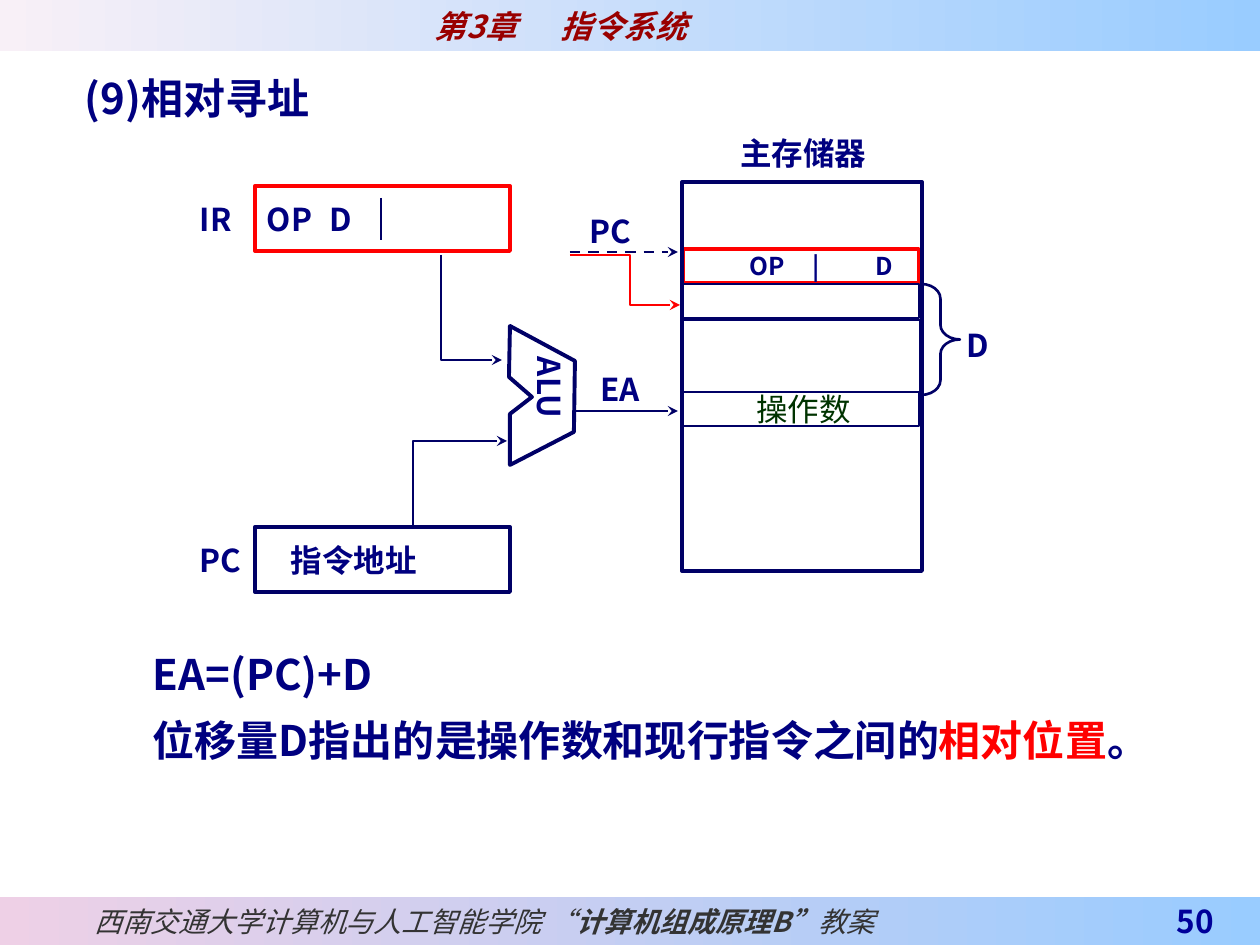
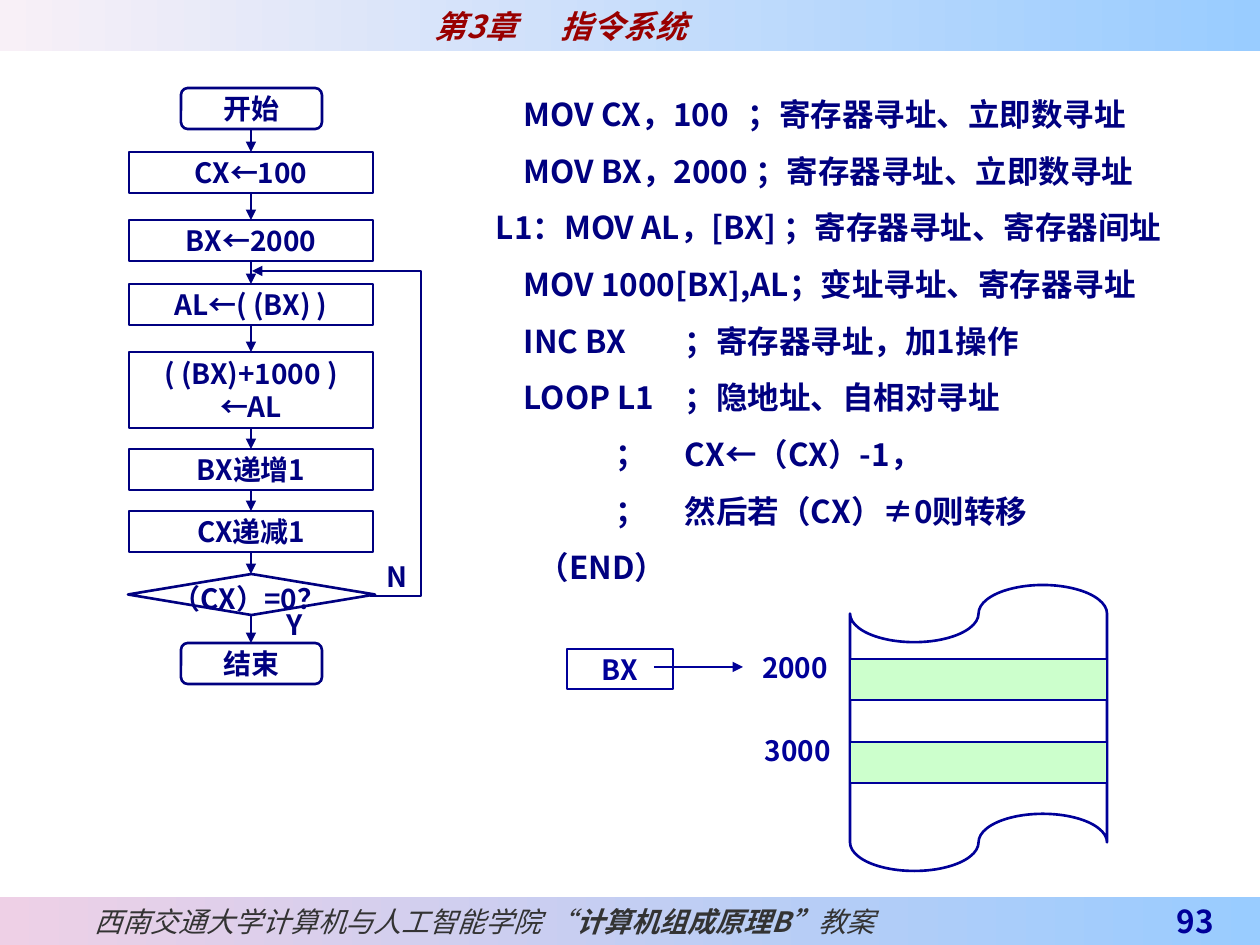
from lxml import etree
from pptx import Presentation
from pptx.dml.color import RGBColor
from pptx.enum.dml import MSO_LINE
from pptx.enum.shapes import MSO_CONNECTOR, MSO_SHAPE
from pptx.enum.text import MSO_ANCHOR, PP_ALIGN
from pptx.oxml.ns import qn
from pptx.util import Pt

SCALE = 914400 / 126  # EMU in one px
WIDTH, HEIGHT = 1260, 945
FONT = "Noto Sans CJK SC"
NAVY, INK, BLUE, RED = "000080", "000066", "000099", "FF0000"
DARK_RED, GRAY, GREEN = "990000", "333333", "003300"
WHITE, MINT, SKY, PINK, PALE = "FFFFFF", "CCFFCC", "99CCFF", "EED0E6", "F8F0F7"

LEFT, CENTER, RIGHT = PP_ALIGN.LEFT, PP_ALIGN.CENTER, PP_ALIGN.RIGHT
JUSTIFY = PP_ALIGN.JUSTIFY
TOP, MIDDLE = MSO_ANCHOR.TOP, MSO_ANCHOR.MIDDLE
RECTANGLE = MSO_SHAPE.RECTANGLE
ROUNDED = MSO_SHAPE.FLOWCHART_ALTERNATE_PROCESS
DECISION = MSO_SHAPE.FLOWCHART_DECISION
TAPE = MSO_SHAPE.FLOWCHART_PUNCHED_TAPE
BRACE = MSO_SHAPE.RIGHT_BRACE
STRAIGHT = MSO_CONNECTOR.STRAIGHT
DASH = MSO_LINE.DASH


def px(length):
    return round(length * SCALE)


def color(value):
    return RGBColor.from_string(value)


def set_line(shape, line_color, width, arrow=None, dash=None):
    line = shape.line
    line.color.rgb = color(line_color)
    line.width = Pt(width)
    if dash:
        line.dash_style = dash
    if arrow:
        outline = shape._element.spPr.find(qn("a:ln"))
        etree.SubElement(outline, qn("a:tailEnd"), type=arrow)


def set_indent(paragraph, first, tabs):
    """First-line indent and tab stops, in px from the text edge."""
    properties = paragraph._p.get_or_add_pPr()
    properties.set("marL", "0")
    properties.set("indent", str(px(first)))
    if tabs:
        stops = etree.SubElement(properties, qn("a:tabLst"))
        for stop in tabs:
            etree.SubElement(stops, qn("a:tab"), pos=str(px(stop)), algn="l")


def set_font(run, text_color, size, **styles):
    run.font.color.rgb = color(text_color)
    formats = {"name": FONT, "size": Pt(size), "bold": True, **styles}
    for name, value in formats.items():
        setattr(run.font, name, value)
    etree.SubElement(run._r.get_or_add_rPr(), qn("a:ea"), typeface=FONT)


def write(shape, paragraphs, text_color=NAVY, size=18, align=CENTER, anchor=MIDDLE,
          inset=0, first=0, tabs=(), spacing=None, wrap=True, **styles):
    """Fill a shape. A paragraph is a string or a list of (text, overrides)."""
    frame = shape.text_frame
    formats = {"word_wrap": wrap, "vertical_anchor": anchor, "margin_left": px(inset),
               "margin_right": 0, "margin_top": 0, "margin_bottom": 0}
    for name, value in formats.items():
        setattr(frame, name, value)
    if isinstance(paragraphs, str):
        paragraphs = [paragraphs]
    for index, runs in enumerate(paragraphs):
        paragraph = frame.add_paragraph() if index else frame.paragraphs[0]
        paragraph.alignment = align
        if spacing:
            paragraph.line_spacing = spacing
        if first or tabs:
            set_indent(paragraph, first, tabs)
        for text, changes in [(runs, {})] if isinstance(runs, str) else runs:
            run = paragraph.add_run()
            run.text = text
            set_font(run, **{"text_color": text_color, "size": size, **styles, **changes})


class Region:
    """Part of a slide; all places are px from its top left corner."""

    def __init__(self, slide, left, top):
        self.shapes, self.left, self.top = slide.shapes, left, top

    def place(self, x, y):
        return px(self.left + x), px(self.top + y)

    def shape(self, kind, x, y, width, height, line=None, weight=1.5, fill=None,
              text=None, **text_format):
        shape = self.shapes.add_shape(kind, *self.place(x, y), px(width), px(height))
        shape.shadow.inherit = False
        if fill:
            shape.fill.solid()
            shape.fill.fore_color.rgb = color(fill)
        else:
            shape.fill.background()
        if line:
            set_line(shape, line, weight)
        else:
            shape.line.fill.background()
        if text:
            write(shape, text, **text_format)
        return shape

    def text(self, x, y, width, height, text, **text_format):
        box = self.shapes.add_textbox(*self.place(x, y), px(width), px(height))
        write(box, text, **text_format)
        return box

    def band(self, y, height, start, end, text, **text_format):
        band = self.shape(RECTANGLE, 0, y, WIDTH, height, text=text, **text_format)
        band.fill.gradient()
        band.fill.gradient_angle = 0
        for stop, value in zip(band.fill.gradient_stops, (start, end)):
            stop.color.rgb = color(value)

    def line(self, start, end, line, weight=1.5, arrow=None, dash=None):
        connector = self.shapes.add_connector(
            STRAIGHT, *self.place(*start), *self.place(*end))
        set_line(connector, line, weight, arrow, dash)
        etree.SubElement(connector._element.spPr, qn("a:effectLst"))

    def outline(self, points, line, weight=1.5, arrow=None, close=False):
        moved = [(self.left + x, self.top + y) for x, y in points]
        builder = self.shapes.build_freeform(*moved[0], scale=SCALE)
        builder.add_line_segments(moved[1:], close=close)
        shape = builder.convert_to_shape()
        shape.shadow.inherit = False
        shape.fill.background()
        set_line(shape, line, weight, arrow)


def new_slide(presentation, number):
    """Blank slide with the shared header, footer and page number."""
    slide = presentation.slides.add_slide(presentation.slide_layouts[6])
    page = Region(slide, 0, 0)
    page.band(897, 48, PINK, SKY,
              [[("西南交通大学计算机与人工智能学院 “", {}),
                ("计算机组成原理B”", {"bold": True}), ("教案", {})]],
              text_color=GRAY, size=16, align=LEFT, inset=95, bold=False, italic=True)
    page.text(1091, 897, 123, 48, str(number), text_color=BLUE, align=RIGHT)
    page.band(0, 51, PALE, SKY, "第3章\t指令系统", text_color=DARK_RED,
              align=LEFT, inset=435, tabs=[111], italic=True)
    return slide


def draw_registers(slide, left, top):
    """Instruction register, program counter and the adder they feed."""
    region = Region(slide, left, top)
    registers = [("IR", 0, RED, "OP\tD", 12, [81]), ("PC", 341, INK, "指令地址", 36, [])]
    for name, y, line, content, inset, tabs in registers:
        region.text(0, y, 52, 65, name, align=LEFT)
        region.shape(RECTANGLE, 55, y, 255, 65, line, 2.25, text=content,
                     align=LEFT, inset=inset, tabs=tabs)
    region.line((181, 12), (181, 54), INK, 1)

    # Adder and its inputs
    region.outline([(310, 140), (375, 175), (374, 246), (310, 279), (310, 228),
                    (332, 211), (309, 191)], INK, 2.25, close=True)
    adder = region.text(319, 171, 63, 62, "ALU", wrap=False)
    adder.text_frame._txBody.bodyPr.set("vert", "eaVert")
    region.outline([(241, 69), (241, 174), (302, 174)], INK, arrow="stealth")
    region.outline([(213, 341), (213, 255), (307, 255)], INK, arrow="stealth")

    # Effective address
    region.text(383, 184, 74, 38, "EA")
    region.line((376, 225), (478, 225), INK, arrow="stealth")


def draw_memory(slide, left, top):
    """Main memory with the current instruction and the operand."""
    region = Region(slide, left, top)
    region.text(30, -48, 182, 38, "主存储器")
    region.shape(RECTANGLE, 1, 138, 237, 89, INK, 0.75)
    region.shape(RECTANGLE, 1, 210, 236, 34, INK, 1, WHITE, "操作数",
                 text_color=GREEN, bold=False, inset=5)
    region.shape(RECTANGLE, 1, 67, 236, 34, RED, 2.25, text="OP\t|\tD",
                 size=14, align=LEFT, inset=67, tabs=[53, 81])
    region.shape(RECTANGLE, 1, 102, 236, 34, INK, 1)
    region.shape(RECTANGLE, 0, 0, 240, 389, INK, 2.25)

    # Program counter before and after the fetch
    region.text(-92, 30, 60, 38, "PC", align=LEFT)
    region.line((-112, 70), (-4, 70), INK, arrow="stealth", dash=DASH)
    region.outline([(-112, 73), (-52, 73), (-52, 123), (-2, 123)], RED, arrow="stealth")

    # Displacement
    brace = region.shape(BRACE, 239, 102, 39, 111, INK)
    brace.adjustments[0] = 0.375
    region.text(285, 144, 60, 38, "D", align=LEFT)


def build_addressing_slide(presentation):
    slide = new_slide(presentation, 50)
    page = Region(slide, 0, 0)
    page.text(85, 66, 341, 63, "(9)相对寻址", size=24, align=LEFT)
    draw_registers(slide, 200, 186)
    draw_memory(slide, 682, 182)
    page.text(153, 631, 1030, 136,
              ["EA=(PC)+D", [("位移量D指出的是操作数和现行指令之间的", {}),
                             ("相对位置", {"text_color": RED}), ("。", {})]],
              size=24, align=LEFT, spacing=1.3)


def draw_flowchart(slide, left, top):
    region = Region(slide, left, top)
    middle = 124
    steps = [  # kind, text, top, width, height
        (ROUNDED, "开始", 0, 141, 41),
        (RECTANGLE, "CX←100", 64, 244, 41),
        (RECTANGLE, "BX←2000", 132, 244, 41),
        (RECTANGLE, "AL←( (BX) )", 196, 244, 41),
        (RECTANGLE, ["( (BX)+1000 )", "←AL"], 264, 244, 76),
        (RECTANGLE, "BX递增1", 361, 244, 41),
        (RECTANGLE, "CX递减1", 423, 244, 41),
        (DECISION, None, 486, 247, 41),
        (ROUNDED, "结束", 555, 141, 41),
    ]
    for kind, text, y, width, height in steps:
        region.shape(kind, middle - width // 2, y, width, height, NAVY, 1.5, WHITE,
                     text, size=16)
    for (*_, y, _, height), (_, _, following, *_) in zip(steps, steps[1:]):
        region.line((middle, y + height), (middle, following), NAVY, arrow="triangle")

    # Decision wording, its branches and the loop back
    for text, x, y, width in (("（CX）=0？", 0, 490, 244), ("N", 234, 468, 71),
                              ("Y", 132, 516, 71)):
        region.text(x, y, width, 41, text, size=16)
    region.outline([(243, 508), (294, 508), (294, 183), (125, 183)], NAVY,
                   arrow="triangle")


def draw_listing(slide, left, top):
    """Program text; each line has its own indent and tab stops."""
    lines = [
        ("MOV CX，100\t；寄存器寻址、立即数寻址", 28, [270]),
        ("MOV BX，2000 ；寄存器寻址、立即数寻址", 28, []),
        ("L1：MOV AL，[BX] ；寄存器寻址、寄存器间址", 0, []),
        ("MOV 1000[BX],AL；变址寻址、寄存器寻址", 28, []),
        ("INC BX\t；寄存器寻址，加1操作", 28, [267]),
        ("LOOP L1\t；隐地址、自相对寻址", 28, [209]),
        ("；\tCX←（CX）-1，", 120, [181]),
        ("；\t然后若（CX）≠0则转移", 120, [172]),
        ("（END）", 42, []),
    ]
    box = Region(slide, left, top).text(
        0, 0, 694, 512, [text for text, *_ in lines],
        align=JUSTIFY, anchor=TOP, spacing=1.5)
    for paragraph, (_, first, tabs) in zip(box.text_frame.paragraphs, lines):
        set_indent(paragraph, first, tabs)


def draw_data_area(slide, left, top):
    """Memory tape with two marked cells and the pointer register."""
    region = Region(slide, left, top)
    region.shape(TAPE, 283, 0, 257, 286, BLUE, 1.5, WHITE)
    for address, x, y in (("2000", 195, 74), ("3000", 198, 157)):
        region.shape(RECTANGLE, 283, y, 257, 41, BLUE, 1.5, MINT)
        region.text(x, y - 12, 85, 41, address, text_color=BLUE, size=16, align=LEFT)
    region.shape(RECTANGLE, 0, 64, 106, 40, BLUE, text="BX", text_color=BLUE, size=16)
    region.line((87, 82), (176, 82), BLUE, arrow="triangle")


def build_program_slide(presentation):
    slide = new_slide(presentation, 93)
    draw_data_area(slide, 567, 585)
    draw_listing(slide, 496, 76)
    draw_flowchart(slide, 127, 88)


def main():
    presentation = Presentation()
    presentation.slide_width, presentation.slide_height = px(WIDTH), px(HEIGHT)
    build_addressing_slide(presentation)
    build_program_slide(presentation)
    presentation.save("out.pptx")


if __name__ == "__main__":
    main()
